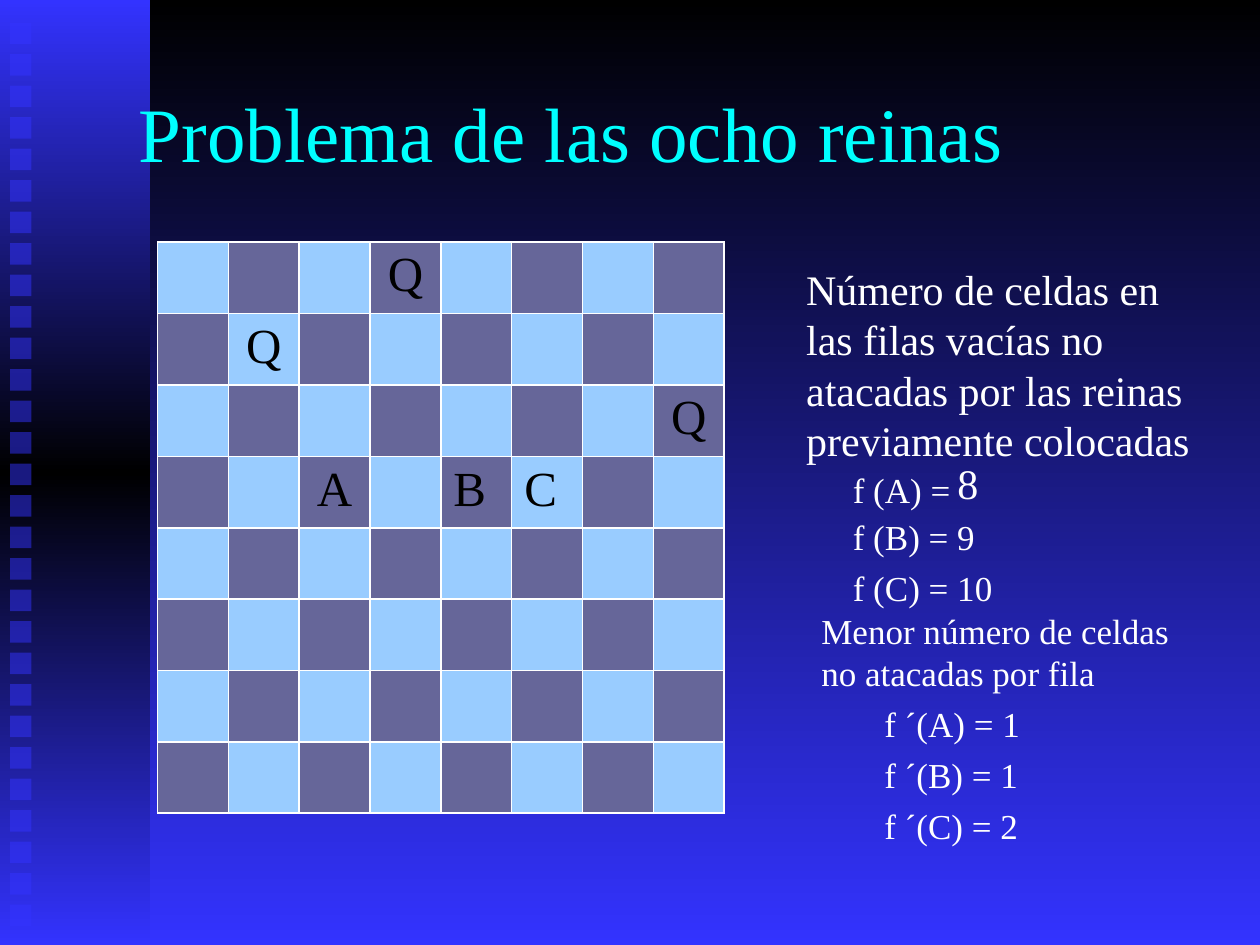
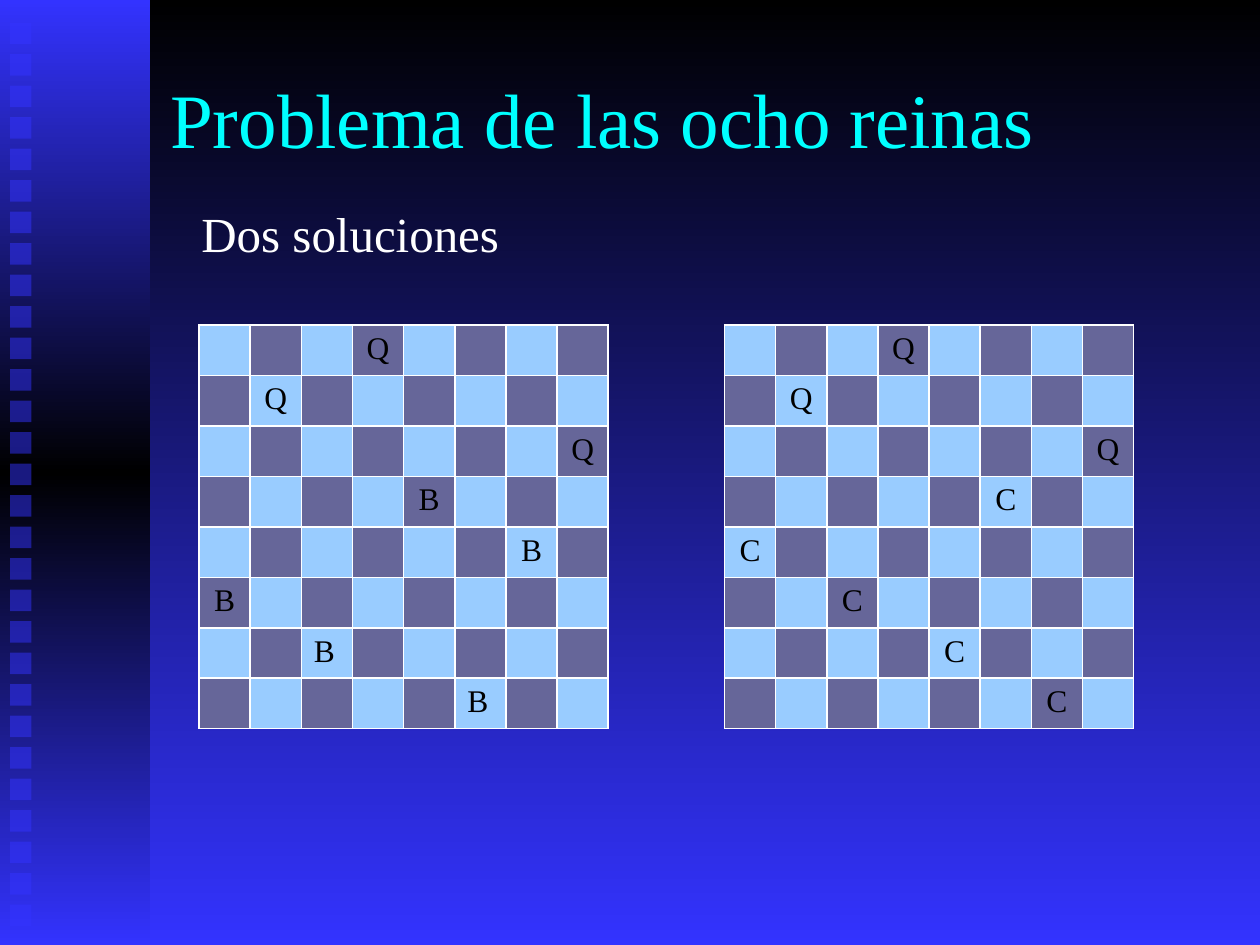
from copy import deepcopy

from pptx import Presentation
from pptx.dml.color import RGBColor
from pptx.enum.shapes import MSO_SHAPE
from pptx.enum.text import MSO_ANCHOR, MSO_AUTO_SIZE, PP_ALIGN
from pptx.oxml import parse_xml
from pptx.oxml.ns import nsdecls, qn
from pptx.util import Inches, Pt

RECTANGLE = MSO_SHAPE.RECTANGLE
MIDDLE = MSO_ANCHOR.MIDDLE
NO_AUTOFIT = MSO_AUTO_SIZE.NONE
LEFT, CENTER = PP_ALIGN.LEFT, PP_ALIGN.CENTER

BLACK = RGBColor(0x00, 0x00, 0x00)
WHITE = RGBColor(0xFF, 0xFF, 0xFF)
BLUE = RGBColor(0x33, 0x33, 0xFF)
CYAN = RGBColor(0x00, 0xFF, 0xFF)
LIGHT_SQUARE = RGBColor(0x99, 0xCC, 0xFF)
DARK_SQUARE = RGBColor(0x66, 0x66, 0x99)

FONT = "Times New Roman"
TITLE = "Problema de las ocho reinas"
TITLE_ONLY = 5
BOARD_SIZE = 8
EMPTY = "."
LEVEL_INDENT = 0.5
LEAD = 0.04

QUEENS = ["...Q....", ".Q......", ".......Q"]
CANDIDATES = QUEENS + ["..A.BC.."] + ["........"] * 4
SOLUTION_B = QUEENS + ["....B...", "......B.", "B.......", "..B.....", ".....B.."]
SOLUTION_C = QUEENS + [".....C..", "C.......", "..C.....", "....C...", "......C."]


class Deck:
    def __init__(self):
        self.presentation = Presentation()
        self.presentation.slide_width = Inches(10)
        self.presentation.slide_height = Inches(7.5)
        self.slide = None
        backdrop = self.presentation.slide_master.background.fill
        self.shade(backdrop, [BLACK, BLUE])

    def shade(self, fill, colors):
        fill.gradient()
        fill.gradient_angle = 270
        self.set_stops(fill, colors)

    def set_stops(self, fill, colors):
        for index, (stop, color) in enumerate(zip(fill.gradient_stops, colors)):
            stop.color.rgb = color
            stop.position = index / (len(colors) - 1)

    def style(self, paragraph, size, color, align=LEFT):
        paragraph.alignment = align
        paragraph.font.name = FONT
        paragraph.font.size = Pt(size)
        paragraph.font.color.rgb = color

    def add_slide(self, title_left, title_top):
        layout = self.presentation.slide_layouts[TITLE_ONLY]
        self.slide = self.presentation.slides.add_slide(layout)
        title = self.slide.shapes.title
        title.left, title.top = Inches(title_left), Inches(title_top)
        title.width, title.height = Inches(8.5), Inches(1.25)
        frame = title.text_frame
        frame.text = TITLE
        frame.auto_size = NO_AUTOFIT
        frame.vertical_anchor = MIDDLE
        self.style(frame.paragraphs[0], 44, CYAN)

    def rectangle(self, group, left, top, width, height):
        shape = group.shapes.add_shape(
            RECTANGLE, Inches(left), Inches(top), Inches(width), Inches(height))
        shape.shadow.inherit = False
        shape.line.fill.background()
        return shape

    def add_side_band(self):
        group = self.slide.shapes.add_group_shape()
        band = self.rectangle(group, 0, 0, 1.19, 7.5)
        self.shade(band.fill, [BLUE, BLACK])
        stops = band.element.spPr.find(".//" + qn("a:gsLst"))
        stops.insert(1, deepcopy(stops[0]))
        self.set_stops(band.fill, [BLUE, BLACK, BLUE])
        for index in range(29):
            square = self.rectangle(group, 0.08, 0.18 + 0.25 * index, 0.17, 0.17)
            square.fill.solid()
            square.fill.fore_color.rgb = BLUE
            color = square.element.spPr.find(".//" + qn("a:srgbClr"))
            color.append(parse_xml(f'<a:alpha {nsdecls("a")} val="50000"/>'))
        for number, properties in enumerate(group.element.iter(qn("p:cNvPr"))):
            properties.set("id", str(100 + number))
        self.presentation.slide_master.element.cSld.spTree.insert(2, group.element)

    def add_text(self, lines, left, top, width, height, size, lead=0, spacing=None):
        box = self.slide.shapes.add_textbox(
            Inches(left), Inches(top), Inches(width), Inches(height))
        frame = box.text_frame
        frame.word_wrap = True
        frame.margin_top = Inches(0.05 + lead)
        for index, (text, indent) in enumerate(lines):
            paragraph = frame.add_paragraph() if index else frame.paragraphs[0]
            paragraph.text = text
            paragraph._p.get_or_add_pPr().set("marL", str(Inches(indent)))
            if index:
                paragraph.space_before = Pt(size / 4)
            if spacing:
                paragraph.line_spacing = spacing
            self.style(paragraph, size, WHITE)

    def add_borders(self, cell):
        properties = cell._tc.get_or_add_tcPr()
        for index, side in enumerate("LRTB"):
            properties.insert(index, parse_xml(
                f'<a:ln{side} {nsdecls("a")} w="12700"><a:solidFill>'
                f'<a:srgbClr val="{WHITE}"/></a:solidFill></a:ln{side}>'))

    def add_board(self, rows, left, top, width, height, size, left_aligned=()):
        board = self.slide.shapes.add_table(
            BOARD_SIZE, BOARD_SIZE, Inches(left), Inches(top),
            Inches(width), Inches(height)).table
        board.first_row = board.horz_banding = False
        for line in board.columns:
            line.width = Inches(width / BOARD_SIZE)
        for line in board.rows:
            line.height = Inches(height / BOARD_SIZE)
        for row, pieces in enumerate(rows):
            for column, piece in enumerate(pieces):
                cell = board.cell(row, column)
                cell.fill.solid()
                cell.fill.fore_color.rgb = (
                    DARK_SQUARE if (row + column) % 2 else LIGHT_SQUARE)
                self.add_borders(cell)
                if piece != EMPTY:
                    cell.text = piece
                    align = LEFT if (row, column) in left_aligned else CENTER
                    self.style(cell.text_frame.paragraphs[0], size, BLACK, align)


def build_heuristics(deck):
    deck.add_slide(1, 0.42)
    deck.add_side_band()
    deck.add_text(
        [("Número de celdas en las filas vacías no atacadas por las reinas "
          "previamente colocadas", 0.38)],
        5.92, 2, 3.83, 1.75, 24, LEAD)
    deck.add_board(CANDIDATES, 1.25, 1.92, 4.5, 4.53, 28, {(3, 4), (3, 5)})
    deck.add_text(
        [("Menor número de celdas no atacadas por fila", 0)]
        + [(f"f ´({name}) = {value}", LEVEL_INDENT)
           for name, value in (("A", 1), ("B", 1), ("C", 2))],
        6.42, 4.75, 3.02, 2.36, 20, LEAD)
    deck.add_text([("f (A) =", 0)], 6.67, 3.67, 1.04, 0.43, 20)
    deck.add_text([("8", 0)], 7.5, 3.58, 0.37, 0.5, 24)
    deck.add_text(
        [("f (B) = 9", LEVEL_INDENT), ("f (C) = 10", LEVEL_INDENT)],
        6.17, 4, 2.02, 0.83, 20, LEAD)


def build_solutions(deck):
    deck.add_slide(1.25, 0.31)
    deck.add_text([("Dos soluciones", 0)], 1.5, 1.58, 5.25, 0.45, 28, LEAD, 0.9)
    deck.add_board(SOLUTION_C, 5.75, 2.58, 3.25, 3.2, 18)
    deck.add_board(SOLUTION_B, 1.58, 2.58, 3.25, 3.2, 18, {(6, 2), (7, 5)})


def main():
    deck = Deck()
    build_heuristics(deck)
    build_solutions(deck)
    deck.presentation.save("out.pptx")


if __name__ == "__main__":
    main()
